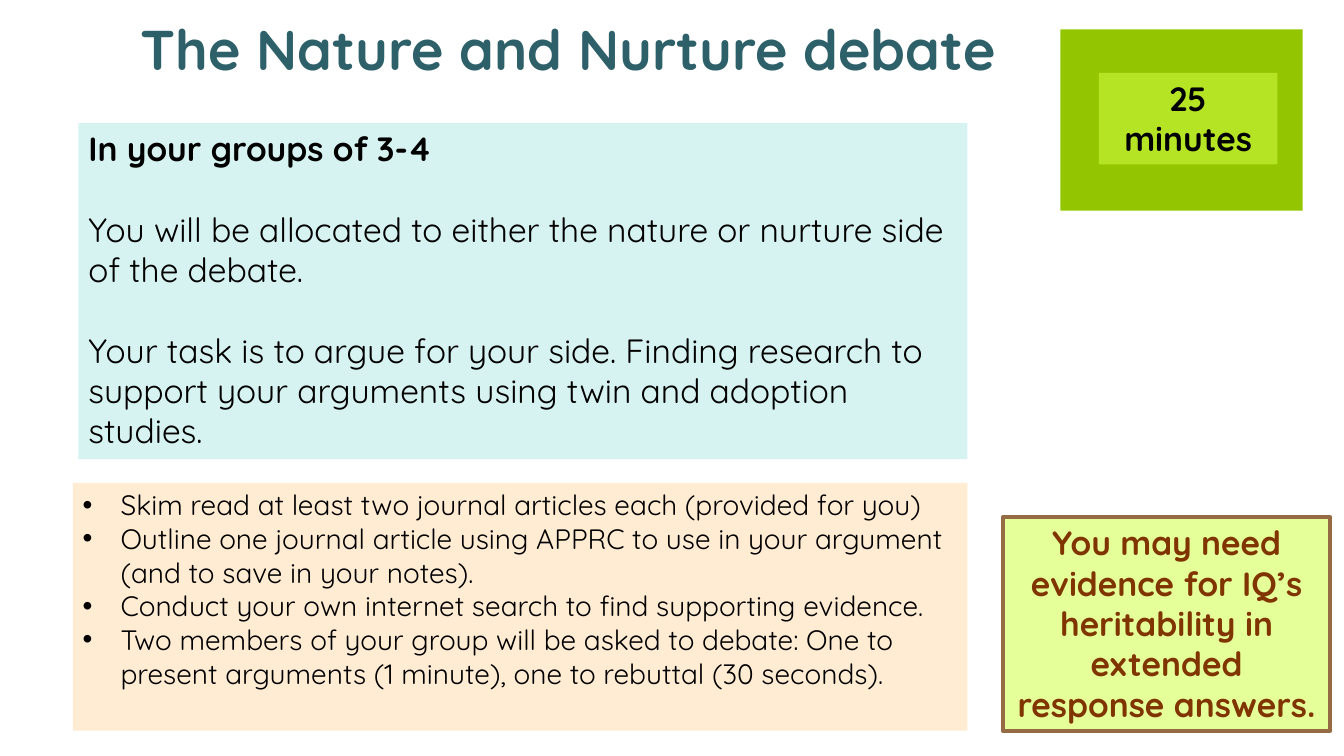
from lxml import etree
from pptx import Presentation
from pptx.dml.color import RGBColor
from pptx.enum.shapes import MSO_SHAPE
from pptx.enum.text import MSO_ANCHOR, MSO_AUTO_SIZE, PP_ALIGN
from pptx.oxml.ns import qn
from pptx.util import Pt

RECTANGLE = MSO_SHAPE.RECTANGLE
TOP = MSO_ANCHOR.TOP
NO_FIT = MSO_AUTO_SIZE.NONE
LEFT, CENTER = PP_ALIGN.LEFT, PP_ALIGN.CENTER

FONT = "Quicksand"
COLORS = {
    "title": "2D6069", "black": "000000", "brown": "803400", "border": "956B43",
    "green": "94C600", "lime": "D0FF44", "aqua": "B4E7E6", "peach": "FFECD3",
}
TITLE = "The Nature and Nurture debate"
TASK = [
    ("In your groups of 3-4", True),
    ("You will be allocated to either the nature or nurture side of the debate.", False),
    ("Your task is to argue for your side. Finding research to support your "
     "arguments using twin and adoption studies.", False),
]
STEPS = [
    ("Skim read at least two journal articles each (provided for you)", False),
    ("Outline one journal article using APPRC to use in your argument "
     "(and to save in your notes).", False),
    ("Conduct your own internet search to find supporting evidence.", False),
    ("Two members of your group will be asked to debate: One to present "
     "arguments (1 minute), one to rebuttal (30 seconds).", False),
]
TIME = [("25 minutes", True)]
HINT = [("You may need evidence for IQ’s heritability in extended response answers.", True)]

PANELS = [
    dict(at=(757.5, 21, 173, 129.5), fill="green"),
    dict(at=(56, 88, 635, 240), fill="aqua", opacity=54, text=TASK, gap=28.8),
    dict(at=(52, 345, 639, 177), fill="peach", text=STEPS, size=20, bullet="•"),
    dict(at=(785, 52, 127.5, 65.5), fill="lime", opacity=54, text=TIME, align=CENTER),
    dict(at=(716.5, 369.5, 233.5, 152.5), fill="lime", opacity=54, border="border",
         text=HINT, align=CENTER, color="brown"),
]


def rgb(name):
    return RGBColor.from_string(COLORS[name])


def write(shape, lines, size=24, color="black", align=LEFT, gap=0, bullet=None):
    frame = shape.text_frame
    frame.word_wrap = True
    frame.auto_size = NO_FIT
    frame.vertical_anchor = TOP
    for index, (text, bold) in enumerate(lines):
        para = frame.paragraphs[0] if index == 0 else frame.add_paragraph()
        para.alignment = align
        para.space_before = Pt(gap if index else 0)
        if bullet:
            properties = para._p.get_or_add_pPr()
            properties.set("marL", str(Pt(27)))
            properties.set("indent", str(Pt(-27)))
            etree.SubElement(properties, qn("a:buFont")).set("typeface", "Arial")
            etree.SubElement(properties, qn("a:buChar")).set("char", bullet)
        span = para.add_run()
        span.text = text
        span.font.name = FONT
        span.font.size = Pt(size)
        span.font.bold = bold
        span.font.color.rgb = rgb(color)


def add_panel(page, at, fill, opacity=100, border=None, text=(), **style):
    box = page.shapes.add_shape(RECTANGLE, *map(Pt, at))
    box.shadow.inherit = False
    box.fill.solid()
    box.fill.fore_color.rgb = rgb(fill)
    if opacity < 100:
        tint = box.fill._xPr.find(".//" + qn("a:srgbClr"))
        etree.SubElement(tint, qn("a:alpha")).set("val", str(opacity * 1000))
    if border:
        box.line.color.rgb = rgb(border)
        box.line.width = Pt(3)
    else:
        box.line.fill.background()
    write(box, text, **style)


def main():
    deck = Presentation()
    deck.slide_width, deck.slide_height = Pt(960), Pt(540)
    page = deck.slides.add_slide(deck.slide_layouts[5])
    title = page.shapes.title
    title.left, title.top, title.width, title.height = map(Pt, (93.5, 6.5, 662, 55.5))
    write(title, [(TITLE, True)], size=40, color="title")
    for panel in PANELS:
        add_panel(page, **panel)
    deck.save("out.pptx")


if __name__ == "__main__":
    main()
